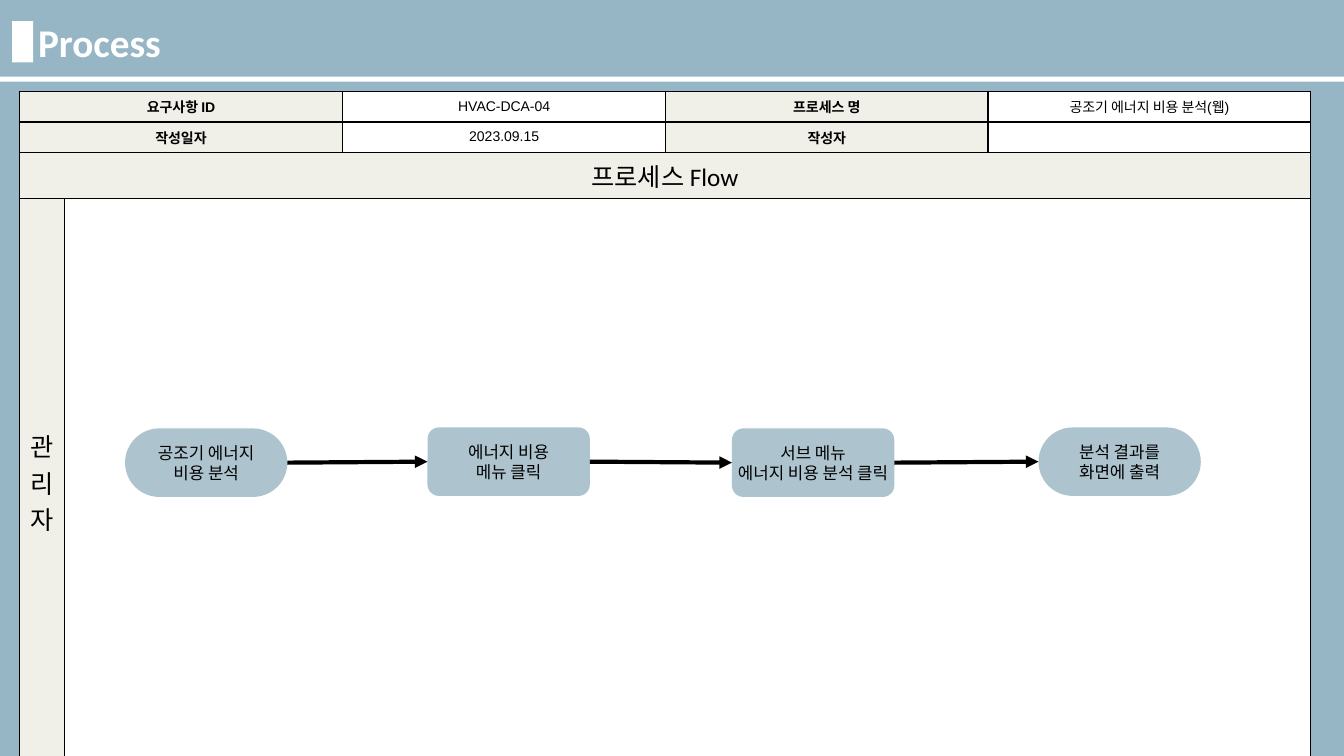
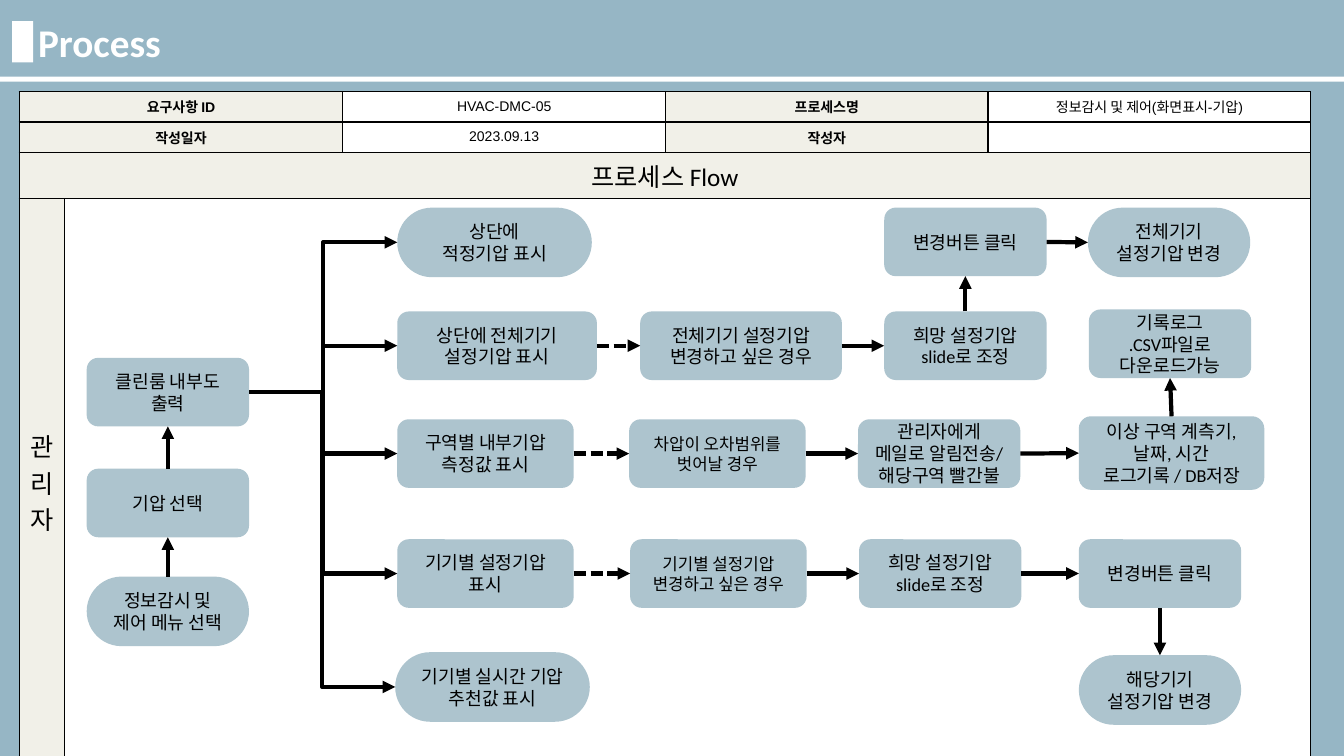
from dataclasses import dataclass

from lxml.etree import SubElement
from pptx import Presentation
from pptx.dml.color import RGBColor
from pptx.enum.dml import MSO_LINE
from pptx.enum.shapes import MSO_CONNECTOR, MSO_SHAPE
from pptx.enum.text import MSO_ANCHOR, PP_ALIGN
from pptx.oxml.ns import qn
from pptx.util import Pt

PX = 9144


@dataclass(frozen=True)
class Theme:
    back: RGBColor = RGBColor.from_string("96B6C5")
    node: RGBColor = RGBColor.from_string("ADC4CE")
    label: RGBColor = RGBColor.from_string("F1F0E8")
    white: RGBColor = RGBColor.from_string("FFFFFF")
    ink: RGBColor = RGBColor.from_string("000000")
    body_font: str = "Calibri"
    cell_font: str = "Arial"
    title: int = 28
    heading: int = 18
    step: int = 13
    small: int = 12
    cell: int = 10
    arrow: int = 3
    border: int = 1


T = Theme()


def px(*lengths):
    return [n * PX for n in lengths]


def write(tf, lines, size, font=T.body_font, color=T.ink, bold=False, align=PP_ALIGN.CENTER):
    for i, line in enumerate(lines):
        p = tf.add_paragraph() if i else tf.paragraphs[0]
        p.alignment = align
        if not line:
            SubElement(p._p, qn("a:endParaRPr"), sz=str(size * 100))
            continue
        r = p.add_run()
        r.text = line
        r.font.size, r.font.name, r.font.bold = Pt(size), font, bold
        r.font.color.rgb = color


COLS = [45, 276, 320, 320, 320]
ROWS = [30, 30, 46, 562]
LABEL_COLS = [(0, 1, 3), (0, 1, 3), range(5), (0,)]
MERGES = [(0, 0, 1), (1, 0, 1), (2, 0, 4), (3, 1, 4)]
BARS = [(12, 21, 21, 41), (0, 76, 1333, 5)]
SITES = {"right": (3, 1), "up": (0, 2), "down": (2, 0)}

SLIDES = [
    {
        "id": "HVAC-DCA-04", "date": "2023.09.15",
        "name_label": "프로세스 명", "name": "공조기 에너지 비용 분석(웹)",
        "wrap": False,
        "nodes": {
            "start": (124, 425, 161, 68, True, T.small, ["공조기 에너지", "비용 분석"]),
            "menu": (424, 424, 161, 68, False, T.small, ["에너지 비용", "메뉴 클릭"]),
            "submenu": (726, 425, 161, 68, False, T.small, ["서브 메뉴", "에너지 비용 분석 클릭"]),
            "result": (1030, 424, 161, 68, True, T.small, ["분석 결과를", "화면에 출력"]),
        },
        "branches": [],
        "arrows": [("right", "start", "menu"), ("right", "menu", "submenu"),
                   ("right", "submenu", "result")],
        "dashes": [],
    },
    {
        "id": "HVAC-DMC-05", "date": "2023.09.13",
        "name_label": "프로세스명", "name": "정보감시 및 제어(화면표시-기압)",
        "wrap": True,
        "nodes": {
            "start": (86, 572, 161, 69, True, T.step, ["정보감시 및 제어 메뉴 선택"]),
            "pressure": (86, 465, 161, 68, False, T.step, ["기압 선택"]),
            "cleanroom": (86, 355, 161, 68, False, T.step, ["클린룸 내부도 출력"]),
            "proper": (394, 206, 193, 69, True, T.step, ["상단에", "적정기압 표시"]),
            "all_set": (394, 309, 198, 68, False, T.step, ["상단에 전체기기 설정기압 표시"]),
            "zone": (394, 416, 175, 68, False, T.step, ["구역별 내부기압 측정값 표시"]),
            "unit_set": (394, 535, 175, 68, False, T.step, ["기기별 설정기압 표시"]),
            "advice": (392, 647, 193, 69, True, T.step, ["기기별 실시간 기압 추천값 표시"]),
            "all_wish": (635, 309, 200, 68, False, T.step, ["전체기기 설정기압 변경하고 싶은 경우"]),
            "all_slide": (877, 309, 161, 68, False, T.step, ["희망 설정기압 slide로 조정"]),
            "all_click": (877, 206, 161, 68, False, T.step, ["변경버튼 클릭"]),
            "all_done": (1079, 206, 161, 69, True, T.step, ["전체기기 설정기압 변경"]),
            "zone_error": (624, 416, 175, 68, False, T.small, ["차압이 오차범위를 벗어날 경우"]),
            "mail": (851, 416, 161, 68, False, T.step, ["관리자에게 메일로 알림전송/ 해당구역 빨간불"]),
            "log": (1070, 413, 184, 73, False, T.step,
                    ["이상 구역 계측기, 날짜, 시간", "로그기록 / DB저장"]),
            "csv": (1080, 307, 161, 68, False, T.step, ["기록로그", ".CSV파일로", "다운로드가능"]),
            "unit_wish": (625, 535, 175, 68, False, T.small, ["기기별 설정기압 변경하고 싶은 경우"]),
            "unit_slide": (852, 535, 161, 68, False, T.step, ["희망 설정기압 slide로 조정"]),
            "unit_click": (1070, 535, 161, 68, False, T.step, ["변경버튼 클릭"]),
            "unit_done": (1070, 650, 161, 69, True, T.step, ["해당기기 설정기압 변경"]),
        },
        "branches": [("right", "cleanroom", end)
                     for end in ("proper", "all_set", "zone", "unit_set", "advice")],
        "arrows": [
            ("up", "start", "pressure"), ("up", "pressure", "cleanroom"),
            ("right", "all_wish", "all_slide"), ("up", "all_slide", "all_click"),
            ("right", "all_click", "all_done"), ("right", "zone_error", "mail"),
            ("right", "mail", "log"), ("up", "log", "csv"),
            ("right", "unit_wish", "unit_slide"), ("right", "unit_slide", "unit_click"),
            ("down", "unit_click", "unit_done"),
        ],
        "dashes": [("right", "all_set", "all_wish"), ("right", "zone", "zone_error"),
                   ("right", "unit_set", "unit_wish")],
    },
]

prs = Presentation()
prs.slide_width, prs.slide_height = px(1333, 750)

for data in SLIDES:
    s = prs.slides.add_slide(prs.slide_layouts[6])
    s.background.fill.solid()
    s.background.fill.fore_color.rgb = T.back

    texts = [
        ["요구사항 ID", "", data["id"], data["name_label"], data["name"]],
        ["작성일자", "", data["date"], "작성자", ""],
        ["프로세스 Flow", "", "", "", ""],
        ["관리자", "", "", "", ""],
    ]
    table = s.shapes.add_table(len(ROWS), len(COLS), *px(19, 91, sum(COLS), sum(ROWS))).table
    table.first_row = table.horz_banding = False
    for col, width in zip(table.columns, COLS):
        col.width = width * PX
    for i, height in enumerate(ROWS):
        table.rows[i].height = height * PX
        for j, text in enumerate(texts[i]):
            cell = table.cell(i, j)
            is_label, is_info = j in LABEL_COLS[i], i < 2
            cell.vertical_anchor = MSO_ANCHOR.MIDDLE
            tcPr = cell._tc.get_or_add_tcPr()
            for side in ("L", "R", "T", "B"):
                ln = SubElement(tcPr, qn(f"a:ln{side}"), w=str(Pt(T.border)))
                SubElement(SubElement(ln, qn("a:solidFill")), qn("a:srgbClr"), val=str(T.ink))
            cell.fill.solid()
            cell.fill.fore_color.rgb = T.label if is_label else T.white
            write(cell.text_frame, [text], T.cell if is_info else T.heading,
                  T.cell_font if is_info else T.body_font, bold=is_label and is_info)
    for row, first, last in MERGES:
        table.cell(row, first).merge(table.cell(row, last))

    title = s.shapes.add_textbox(*px(28, 13, 1197, 57))
    title.text_frame.word_wrap = True
    write(title.text_frame, ["Process"], T.title, color=T.white, bold=True, align=PP_ALIGN.LEFT)

    for bar in BARS:
        sp = s.shapes.add_shape(MSO_SHAPE.RECTANGLE, *px(*bar))
        sp.shadow.inherit = False
        sp.fill.solid()
        sp.fill.fore_color.rgb = T.white
        sp.line.fill.background()

    nodes = {}
    for name, (x, y, w, h, is_terminal, size, lines) in data["nodes"].items():
        sp = s.shapes.add_shape(MSO_SHAPE.ROUNDED_RECTANGLE, *px(x, y, w, h))
        sp.shadow.inherit = False
        sp.fill.solid()
        sp.fill.fore_color.rgb = T.node
        sp.line.fill.background()
        if is_terminal:
            sp.adjustments[0] = 0.5
        tf = sp.text_frame
        tf.word_wrap = data["wrap"]
        tf.vertical_anchor = MSO_ANCHOR.MIDDLE
        write(tf, lines, size)
        nodes[name] = sp

    for group in ("branches", "arrows", "dashes"):
        kind = MSO_CONNECTOR.ELBOW if group == "branches" else MSO_CONNECTOR.STRAIGHT
        for direction, start, end in data[group]:
            cx = s.shapes.add_connector(kind, 0, 0, 0, 0)
            out_site, in_site = SITES[direction]
            cx.begin_connect(nodes[start], out_site)
            cx.end_connect(nodes[end], in_site)
            cx.line.width = Pt(T.arrow)
            cx.line.color.rgb = T.ink
            if group == "dashes":
                cx.line.dash_style = MSO_LINE.SQUARE_DOT
            SubElement(cx.line._get_or_add_ln(), qn("a:tailEnd"), type="triangle")
            SubElement(cx._element.spPr, qn("a:effectLst"))

prs.save("out.pptx")
